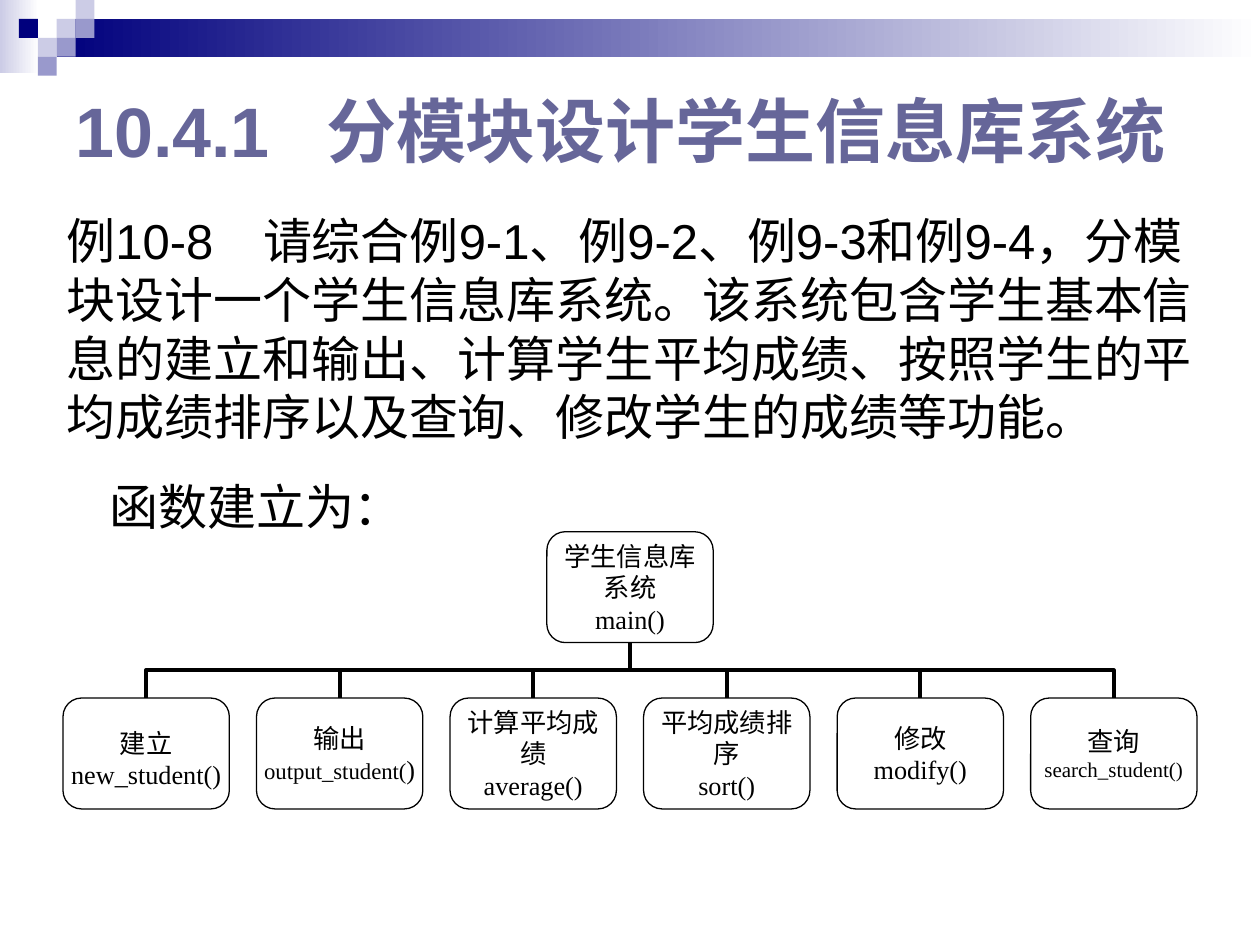
from lxml import etree
from pptx import Presentation
from pptx.dml.color import RGBColor
from pptx.enum.shapes import MSO_CONNECTOR, MSO_SHAPE
from pptx.enum.text import MSO_ANCHOR, PP_ALIGN
from pptx.oxml.ns import qn
from pptx.util import Inches, Pt

RECT = MSO_SHAPE.RECTANGLE
ROUND = MSO_SHAPE.ROUNDED_RECTANGLE
ELBOW = MSO_CONNECTOR.ELBOW
MIDDLE = MSO_ANCHOR.MIDDLE
CENTER = PP_ALIGN.CENTER
BLACK = RGBColor(0x00, 0x00, 0x00)
WHITE = RGBColor(0xFF, 0xFF, 0xFF)
NAVY = RGBColor(0x00, 0x00, 0x7D)
PALE = RGBColor(0xCC, 0xCC, 0xE6)
LILAC = RGBColor(0x99, 0x99, 0xCC)
SLATE = RGBColor(0x66, 0x66, 0x99)

deck = Presentation()
deck.slide_width = Inches(10)
deck.slide_height = Inches(7.5)
slide = deck.slides.add_slide(deck.slide_layouts[6])
shapes = slide.shapes


def style(run, size, font, color):
    run.font.size = Pt(size)
    run.font.name = font
    run.font.color.rgb = color


def set_tab(para, pos):
    tabs = etree.SubElement(para._p.get_or_add_pPr(), qn("a:tabLst"))
    etree.SubElement(tabs, qn("a:tab"), pos=str(Inches(pos)), algn="l")


for left, top, width, height, color in [
    (0, 0, 0.31, 0.58, PALE),
    (0.45, 0.15, 9.55, 0.3, NAVY),
]:
    band = shapes.add_shape(RECT, Inches(left), Inches(top), Inches(width), Inches(height))
    band.shadow.inherit = False
    band.line.fill.background()
    band.fill.gradient()
    band.fill.gradient_angle = 0
    for stop, tone in zip(band.fill.gradient_stops, (color, WHITE)):
        stop.color.rgb = tone

SIDE = 0.15
for col, row, color in [
    (3, 1, PALE), (4, 0, PALE), (4, 1, LILAC), (2, 2, PALE),
    (1, 1, NAVY), (3, 2, LILAC), (2, 3, LILAC),
]:
    tile = shapes.add_shape(
        RECT, Inches(col * SIDE), Inches(row * SIDE), Inches(SIDE), Inches(SIDE))
    tile.shadow.inherit = False
    tile.line.fill.background()
    tile.fill.solid()
    tile.fill.fore_color.rgb = color

title = shapes.add_textbox(Inches(0.5), Inches(0.5), Inches(9), Inches(1.05))
frame = title.text_frame
frame.word_wrap = True
frame.vertical_anchor = MIDDLE
frame.text = "10.4.1\t分模块设计学生信息库系统"
set_tab(frame.paragraphs[0], 1.99)
for run in frame.paragraphs[0].runs:
    style(run, 40, "Arial", SLATE)
    run.font.bold = True

WIDE, HIGH = 1.32, 0.88
MID, BASE, ROW = 5, 5.1, 5.54
STEP = 1.536
nodes = [(MID, BASE - HIGH, "学生信息库系统", [("main()", 15)], 0)]
for num, (name, call, drop) in enumerate([
    ("建立", [("new_student()", 15)], 0.08),
    ("输出", [("output_student(", 13), (")", 15)], 0),
    ("计算平均成绩", [("average()", 15)], 0),
    ("平均成绩排序", [("sort()", 15)], 0),
    ("修改", [("modify()", 15)], 0),
    ("查询", [("search_student()", 12)], 0),
]):
    nodes.append((MID + (num - 2.5) * STEP, ROW, name, call, drop))

half = (ROW - BASE) / 2
for x, *rest in nodes[1:]:
    side = 1 if x < MID else -1
    hub = (x + MID) / 2
    level = BASE + half
    reach = abs(x - MID) / 2
    link = shapes.add_connector(
        ELBOW, Inches(hub + side * half), Inches(level + reach),
        Inches(hub - side * half), Inches(level - reach))
    link.line.color.rgb = BLACK
    link.line.width = Pt(2.25)
    props = link.element.spPr
    props.find(qn("a:xfrm")).set("rot", str((180 - side * 90) * 60000))
    etree.SubElement(props, qn("a:effectLst"))

for x, top, name, call, drop in nodes:
    box = shapes.add_shape(
        ROUND, Inches(x - WIDE / 2), Inches(top), Inches(WIDE), Inches(HIGH))
    box.shadow.inherit = False
    box.fill.background()
    box.line.color.rgb = BLACK
    box.line.width = Pt(0.75)
    frame = box.text_frame
    frame.word_wrap = True
    frame.vertical_anchor = MIDDLE
    frame.margin_left = frame.margin_right = frame.margin_bottom = 0
    frame.margin_top = Inches(drop)
    for num, parts in enumerate([[(name, 15)], call]):
        para = frame.add_paragraph() if num else frame.paragraphs[0]
        para.alignment = CENTER
        for text, size in parts:
            run = para.add_run()
            run.text = text
            style(run, size, "Times New Roman", BLACK)

body = shapes.add_textbox(Inches(0.43), Inches(1.62), Inches(9.14), Inches(2.68))
frame = body.text_frame
frame.word_wrap = True
frame.text = (
    "例10-8\t请综合例9-1、例9-2、例9-3和例9-4，分模块设计一个学生信息库系统。"
    "该系统包含学生基本信息的建立和输出、计算学生平均成绩、"
    "按照学生的平均成绩排序以及查询、修改学生的成绩等功能。\n函数建立为：")
for para in frame.paragraphs:
    para.space_before = Pt(17.5)
    for run in para.runs:
        style(run, 28, "Arial", BLACK)
intro, lead = frame.paragraphs
set_tab(intro, 1.56)
lead._p.get_or_add_pPr().set("marL", str(Inches(0.34)))

deck.save("out.pptx")
